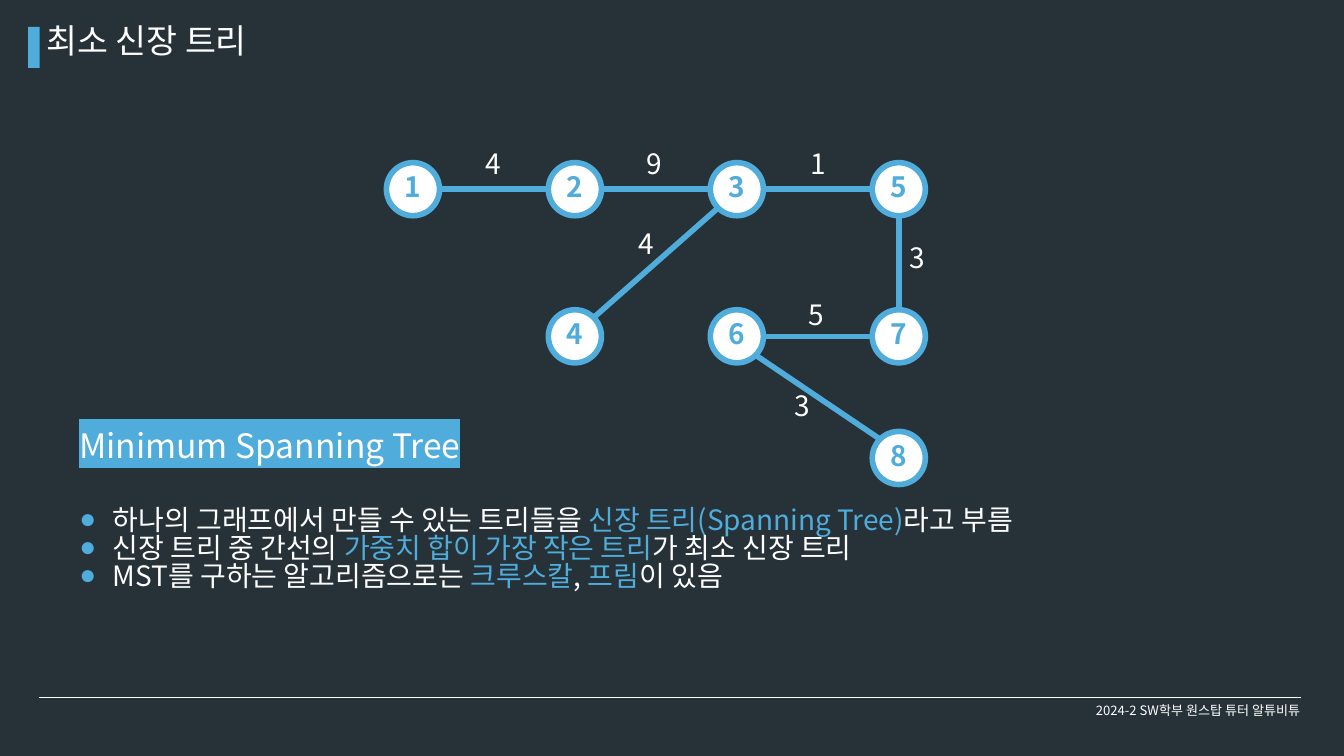
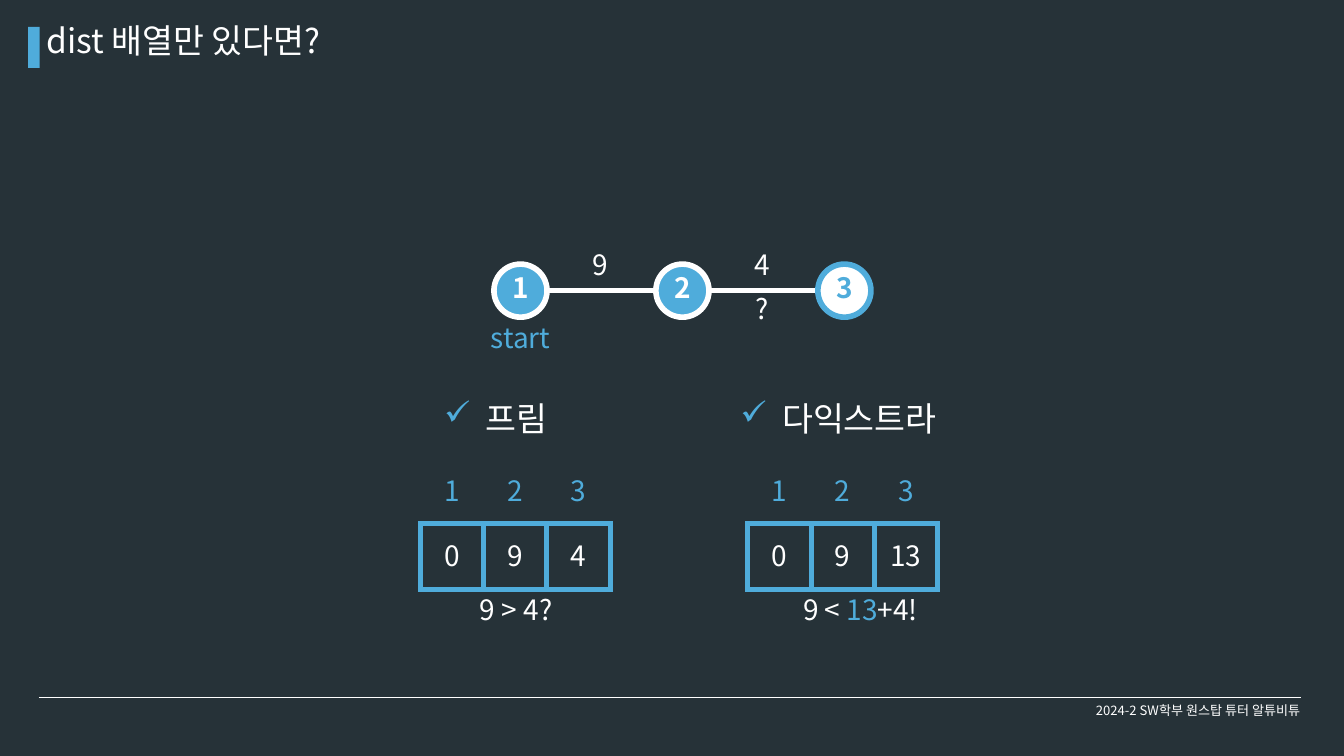
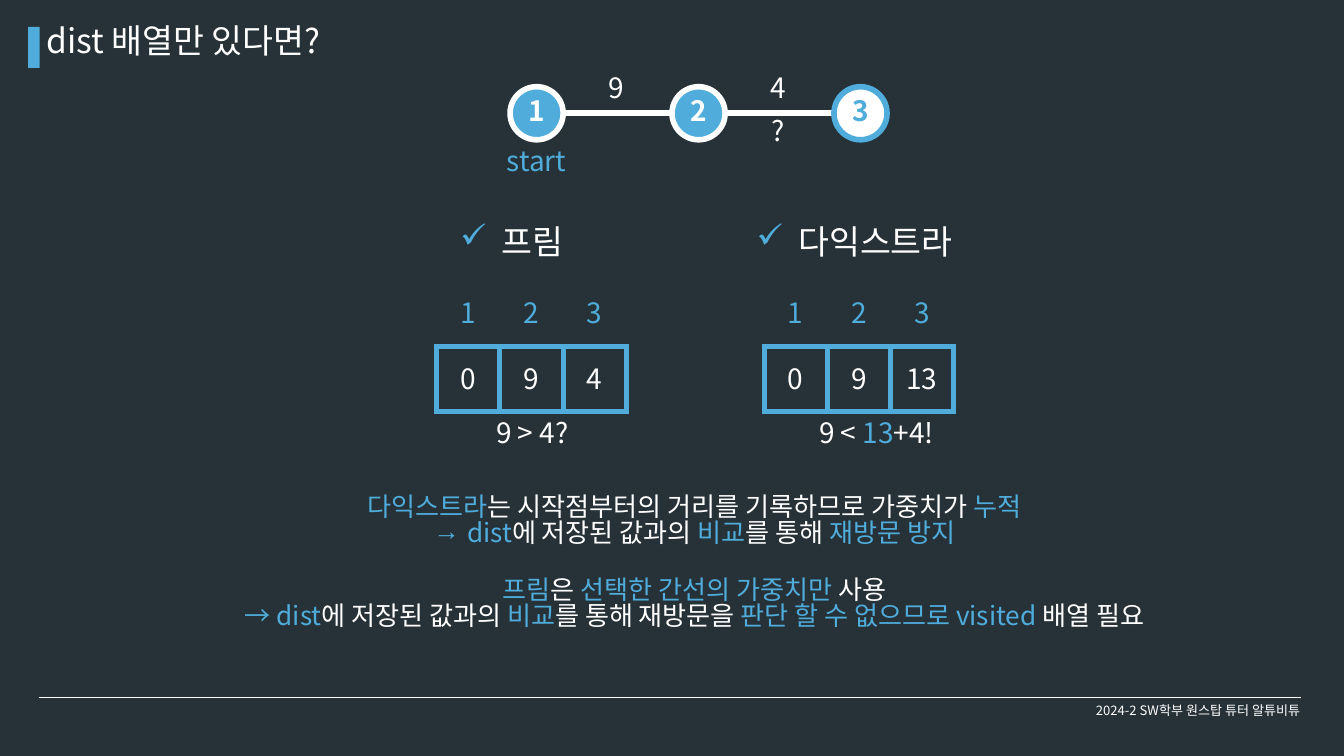
import math

import pptx
import pptx.dml.color
import pptx.enum.shapes
import pptx.enum.text
import pptx.oxml
import pptx.oxml.ns
import pptx.util
from lxml import etree

COLORS = {"back": "263238", "accent": "4FACDB", "white": "FFFFFF"}
FONT = "Noto Sans CJK KR"
FOOTER = "2024-2 SW학부 원스탑 튜터 알튜비튜"
WIDTH, HEIGHT = 20, 11.25
LINE_SPACING = 0.83
NODE = 0.79
NODE_STEP = 2.41
CELL_W, CELL_H = 0.94, 0.98
THICK = 6

ALIGN = pptx.enum.text.PP_ALIGN
ANCHOR = pptx.enum.text.MSO_ANCHOR
SHAPE = pptx.enum.shapes.MSO_SHAPE
inch = pptx.util.Inches
qn = pptx.oxml.ns.qn


def rgb(name):
    return pptx.dml.color.RGBColor.from_string(COLORS[name])


def add_color(parent, tag, name):
    el = etree.SubElement(parent, qn(tag))
    etree.SubElement(el, qn("a:srgbClr")).set("val", COLORS[name])
    return el


def write(tf, lines, size=30, color="white", bold=False, align=ALIGN.LEFT,
          bullet=None, indent=0.5, highlight=None, gap=0):
    """Fill a frame; *marked* parts take the accent colour.

    A line is text, or a (text, formats) pair overriding bullet and gap."""
    for i, line in enumerate([lines] if isinstance(lines, str) else lines):
        text, own = (line, {}) if isinstance(line, str) else line
        p = tf.paragraphs[0] if i == 0 else tf.add_paragraph()
        p.alignment = align
        p.line_spacing = LINE_SPACING
        p.space_before = pptx.util.Pt(own.get("gap", gap))
        p.space_after = pptx.util.Pt(0)
        set_bullet(p, own.get("bullet", bullet), indent)
        for k, part in enumerate(text.split("*")):
            if part:
                add_run(p, part, size, "accent" if k % 2 else color, bold, highlight)


def set_bullet(p, bullet, indent):
    pPr = p._p.get_or_add_pPr()
    margin = inch(indent if bullet else 0)
    pPr.set("marL", str(margin))
    pPr.set("indent", str(-margin))
    if bullet:
        add_color(pPr, "a:buClr", "accent")
        etree.SubElement(pPr, qn("a:buChar")).set("char", bullet)
    else:
        etree.SubElement(pPr, qn("a:buNone"))


def add_run(p, text, size, color, bold, highlight):
    r = p.add_run()
    r.text = text
    r.font.size = pptx.util.Pt(size)
    r.font.bold = bold
    r.font.color.rgb = rgb(color)
    r.font.name = FONT
    rPr = r._r.get_or_add_rPr()
    etree.SubElement(rPr, qn("a:ea")).set("typeface", FONT)
    if highlight:
        rPr.find(qn("a:solidFill")).addnext(add_color(rPr, "a:highlight", highlight))


def place(sp, x, y, w, h):
    sp.left, sp.top, sp.width, sp.height = inch(x), inch(y), inch(w), inch(h)


def setup_frame(tf, wrap=True, anchor=ANCHOR.TOP):
    tf.auto_size = pptx.enum.text.MSO_AUTO_SIZE.NONE
    tf.word_wrap = wrap
    tf.vertical_anchor = anchor
    return tf


def add_text(s, text, x, y, w, h=0.61, wrap=True, anchor=ANCHOR.TOP, **fmt):
    sp = s.shapes.add_textbox(inch(x), inch(y), inch(w), inch(h))
    write(setup_frame(sp.text_frame, wrap, anchor), text, **fmt)


def add_label(s, text, x, y):
    add_text(s, text, x, y, 0.46, wrap=False)


def fill_placeholder(sp, lines, box, **fmt):
    place(sp, *box)
    write(setup_frame(sp.text_frame), lines, **fmt)


def add_line(s, x1, y1, x2, y2, color, width):
    cx = s.shapes.add_connector(pptx.enum.shapes.MSO_CONNECTOR.STRAIGHT,
                                inch(x1), inch(y1), inch(x2), inch(y2))
    cx.line.color.rgb = rgb(color)
    cx.line.width = pptx.util.Pt(width)
    etree.SubElement(cx._element.spPr, qn("a:effectLst"))
    return cx


def add_node(s, text, x, y, fill, ink):
    sp = s.shapes.add_shape(SHAPE.OVAL, inch(x), inch(y), inch(NODE), inch(NODE))
    sp.shadow.inherit = False
    sp.fill.solid()
    sp.fill.fore_color.rgb = rgb(fill)
    sp.line.color.rgb = rgb(ink)
    sp.line.width = pptx.util.Pt(THICK)
    write(setup_frame(sp.text_frame, anchor=ANCHOR.MIDDLE), text,
          color=ink, bold=True, align=ALIGN.CENTER)


def add_edge(s, a, b, color):
    """Join two nodes, given by their corners, from rim to rim."""
    ux, uy = ((q > p) - (q < p) for p, q in zip(a, b))
    reach = NODE / 2 / math.hypot(ux, uy)
    mid = NODE / 2
    add_line(s, a[0] + mid + ux * reach, a[1] + mid + uy * reach,
             b[0] + mid - ux * reach, b[1] + mid - uy * reach, color, THICK)


def set_borders(cell, color):
    tcPr = cell._tc.get_or_add_tcPr()
    for i, side in enumerate(("a:lnL", "a:lnR", "a:lnT", "a:lnB")):
        ln = etree.Element(qn(side))
        if color:
            ln.set("w", str(pptx.util.Pt(THICK)))
            add_color(ln, "a:solidFill", color)
        else:
            etree.SubElement(ln, qn("a:noFill"))
        tcPr.insert(i, ln)


def add_row(s, values, x, y, color, border=None):
    n = len(values)
    table = s.shapes.add_table(1, n, inch(x), inch(y),
                               inch(n * CELL_W), inch(CELL_H)).table
    table.first_row = table.horz_banding = False
    for col, value in enumerate(values):
        table.columns[col].width = inch(CELL_W)
        cell = table.cell(0, col)
        cell.fill.background()
        cell.vertical_anchor = ANCHOR.MIDDLE
        write(cell.text_frame, value, color=color, align=ALIGN.CENTER)
        set_borders(cell, border)


def add_master_parts(prs, s):
    """Draw the rule and the title bar, then move them to the master."""
    rule = add_line(s, 0.58, 10.38, 19.36, 10.38, "white", 0.75)
    bar = s.shapes.add_shape(SHAPE.RECTANGLE, inch(0.42), inch(0.4),
                             inch(0.17), inch(0.61))
    bar.shadow.inherit = False
    bar.fill.solid()
    bar.fill.fore_color.rgb = rgb("accent")
    bar.line.fill.background()
    for number, sp in enumerate((rule, bar), 101):
        sp.element.xpath(".//p:cNvPr")[0].set("id", str(number))
        prs.slide_master.shapes.element.append(sp.element)


def new_slide(prs, title, layout):
    s = prs.slides.add_slide(prs.slide_layouts[layout])
    fill_placeholder(s.shapes.title, title, (0.59, 0.35, 9.5, 0.71), size=36)
    add_text(s, FOOTER, 15.83, 10.31, 4, 0.57, anchor=ANCHOR.MIDDLE,
             size=14, align=ALIGN.CENTER)
    return s


def add_spanning_tree(s):
    rows = (2.42, 4.61, 6.42)
    cells = {"1": (0, 0), "2": (1, 0), "3": (2, 0), "5": (3, 0),
             "4": (1, 1), "6": (2, 1), "7": (3, 1), "8": (3, 2)}
    spots = {n: (5.75 + c * NODE_STEP, rows[r]) for n, (c, r) in cells.items()}
    for pair in ("12", "23", "35", "34", "57", "67", "68"):
        add_edge(s, spots[pair[0]], spots[pair[1]], "accent")
    for name, (x, y) in spots.items():
        add_node(s, name, x, y, "white", "accent")
    for weight, x, y in (("4", 7.12, 2.21), ("9", 9.53, 2.21), ("1", 11.96, 2.21),
                         ("4", 9.41, 3.4), ("3", 13.44, 3.61),
                         ("5", 11.94, 4.46), ("3", 11.73, 5.82)):
        add_label(s, weight, x, y)


def add_dist_panel(s, name, name_x, x, y, dist, caption, caption_x, caption_w):
    add_text(s, name, name_x, y, 3.58, 0.71, size=36, bullet="✓", indent=0.62)
    add_row(s, ["1", "2", "3"], x, y + 0.84, "accent")
    add_row(s, dist, x, y + 1.81, "white", "accent")
    add_text(s, caption, caption_x, y + 2.88, caption_w, align=ALIGN.CENTER)


def add_comparison(s, x, y):
    """Draw the path from its first node at x, y, and both dist arrays."""
    spots = [(x + i * NODE_STEP, y) for i in range(3)]
    for a, b in zip(spots, spots[1:]):
        add_edge(s, a, b, "white")
    styles = [("accent", "white")] * 2 + [("white", "accent")]
    for i, (spot, style) in enumerate(zip(spots, styles), 1):
        add_node(s, str(i), *spot, *style)
    for i, weight in enumerate(("9", "4")):
        add_label(s, weight, x + 1.37 + i * NODE_STEP, y - 0.21)
    add_label(s, "?", x + 3.79, y + 0.44)
    add_text(s, "start", x - 0.55, y + 0.88, 1.89, color="accent",
             align=ALIGN.CENTER)
    add_dist_panel(s, "프림", x - 0.84, x - 1.09, y + 2.05,
                   ["0", "9", "4"], "9 > 4?", x - 0.48, 1.62)
    add_dist_panel(s, "다익스트라", x + 3.57, x + 3.78, y + 2.05,
                   ["0", "9", "13"], "9 < *13*+4!", x + 4.24, 2.43)


def main():
    prs = pptx.Presentation()
    prs.slide_width, prs.slide_height = inch(WIDTH), inch(HEIGHT)
    back = prs.slide_master.background.fill
    back.solid()
    back.fore_color.rgb = rgb("back")

    s = new_slide(prs, "최소 신장 트리", 1)
    add_master_parts(prs, s)
    add_text(s, "Minimum Spanning Tree", 1.08, 6.37, 6.33, 0.71,
             size=36, highlight="accent")
    fill_placeholder(s.placeholders[1], [
        "하나의 그래프에서 만들 수 있는 트리들을 *신장 트리(Spanning Tree)*라고 부름",
        "신장 트리 중 간선의 *가중치 합이 가장 작은 트리*가 최소 신장 트리",
        "MST를 구하는 알고리즘으로는 *크루스칼*, *프림*이 있음",
    ], (1.08, 7.51, 17.08, 1.62), bullet="●")
    add_spanning_tree(s)

    s = new_slide(prs, "dist 배열만 있다면?", 5)
    add_comparison(s, 7.35, 3.93)

    s = new_slide(prs, "dist 배열만 있다면?", 1)
    fill_placeholder(s.placeholders[1], [
        "*다익스트라*는 시작점부터의 거리를 기록하므로 가중치가 *누적*",
        ("*dist*에 저장된 값과의 *비교*를 통해 *재방문 방지*", {"bullet": "→"}),
        ("*프림*은* 선택한 간선의 가중치만 *사용", {"gap": 33.6}),
        "*→ dist*에 저장된 값과의 *비교*를 통해 재방문을 "
        "*판단 할 수 없으므로 visited *배열 필요",
    ], (3.17, 7.32, 14.33, 2.46), size=28, align=ALIGN.CENTER)
    add_comparison(s, 7.59, 1.29)

    prs.save("out.pptx")


if __name__ == "__main__":
    main()
